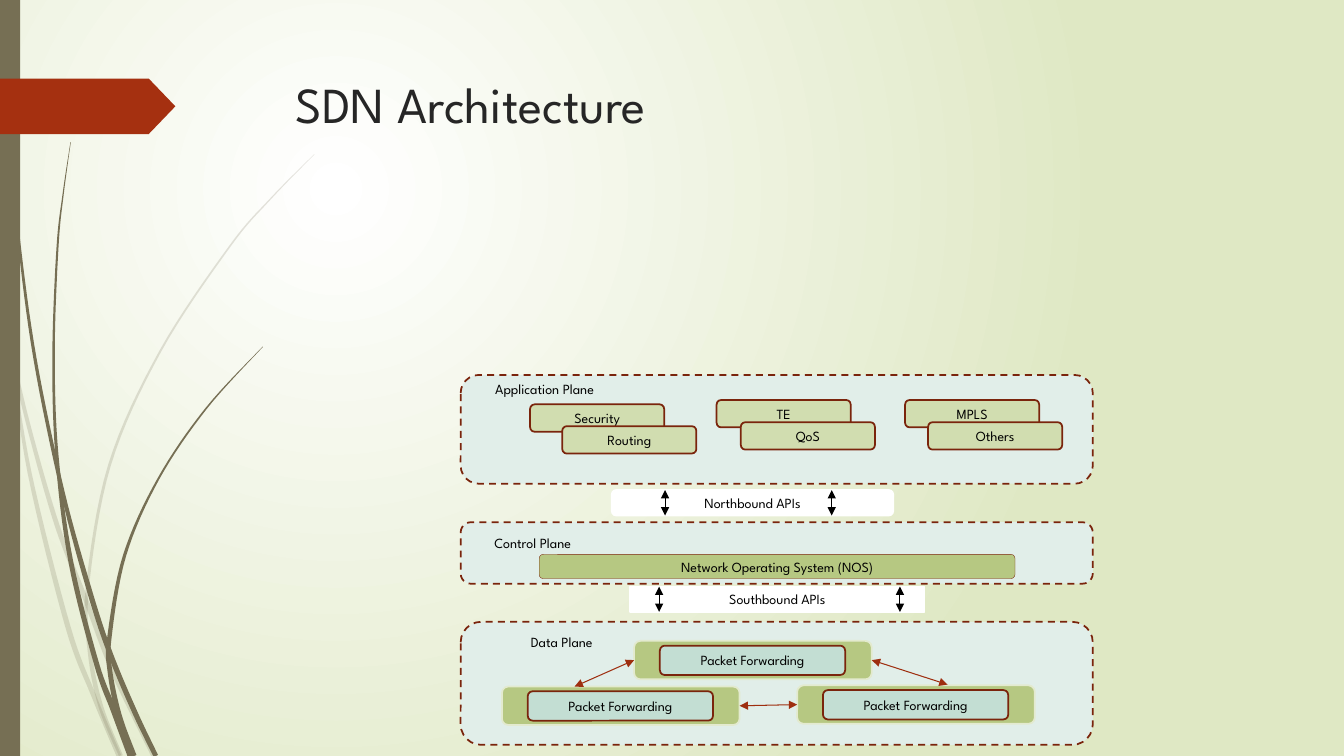
import math
import pptx
import pptx.util
import pptx.dml.color
import pptx.enum.dml
import pptx.enum.shapes
import pptx.enum.text
import pptx.oxml.ns
import pptx.oxml.xmlchemy

Cm, Pt = pptx.util.Cm, pptx.util.Pt
RGB = pptx.dml.color.RGBColor
KIND = pptx.enum.shapes.MSO_SHAPE
ALIGN = pptx.enum.text.PP_ALIGN
ANCHOR = pptx.enum.text.MSO_ANCHOR
qn = pptx.oxml.ns.qn

WHITE, BLACK = RGB(0xFF, 0xFF, 0xFF), RGB(0, 0, 0)
PALE = RGB(0xDF, 0xE8, 0xC4)
EARTH = RGB(0x76, 0x6F, 0x54)
RUST = RGB(0xA5, 0x30, 0x10)
INK = RGB(0x26, 0x26, 0x26)
MIST = RGB(0xE1, 0xEE, 0xE9)
MAROON = RGB(0x7A, 0x24, 0x0C)
OLIVE = RGB(0xB6, 0xC8, 0x82)
CREAM = RGB(0xE3, 0xEA, 0xCF)
MINT = RGB(0xC3, 0xDE, 0xD3)
LEAF = RGB(0xD1, 0xDD, 0xB0)
ARROW = RGB(0x9E, 0x2E, 0x0F)
FONT = "League Spartan"

# Content: all lengths in centimetres
TITLE = "SDN Architecture"
LEFT, WIDE = 11.61, 15.93
# plane: label, label box, top, height
DATA = ("Data Plane", (12.01, 15.82, 4.29, 0.71), 15.67, 3.1)
CONTROL = ("Control Plane", (11.89, 13.28, 3.07, 0.81), 13.16, 1.55)
APPS = ("Application Plane", (11.91, 9.52, 3.63, 0.58), 9.45, 2.74)
NODE = "Packet Forwarding"
NODES = [(15.98, 16.15), (12.65, 17.3), (20.09, 17.27)]
SYSTEM = ("Network Operating System (NOS)", (13.59, 13.97, 11.99, 0.61))
# interface: label, outline, left, top, width, arrow places
LINKS = [
    ("Southbound APIs", KIND.RECTANGLE, 15.88, 14.78, 7.42, (16.61, 22.68)),
    ("Northbound APIs", KIND.ROUNDED_RECTANGLE, 15.42, 12.35, 7.09,
     (16.76, 20.96)),
]
TOOLS = [
    ("Security", 13.36, 10.19), ("Routing", 14.17, 10.74),
    ("TE", 18.06, 10.08), ("QoS", 18.67, 10.64),
    ("MPLS", 22.81, 10.08), ("Others", 23.39, 10.64),
]
# Grass blades: x, y and thickness along each stem
FAINT = [
    [(0, 7.37, .1), (.27, 8.8, .1), (.74, 10.8, .1), (1.44, 13.24, .12),
     (2.16, 15.11, .12), (2.84, 16.9, .12), (3.88, 19.05, .13)],
    [(.28, 8.89, .05), (.75, 11.93, .1), (1.7, 15.75, .13),
     (2.35, 17.5, .12), (3, 19.05, .12)],
    [(7.92, 3.89, .01), (6.81, 5.02, .03), (5.79, 6.21, .04),
     (4.04, 8.85, .05), (2.76, 11.72, .07), (2.2, 14.83, .08),
     (2.26, 16.41, .1), (2.54, 17.8, .12), (3.05, 19.05, .1)],
]
SOLID = [
    [(.09, 0, .02), (.19, 2.79, .03), (.46, 5.89, .06), (.88, 9.02, .08),
     (1.58, 12.4, .1), (2.29, 15, .13), (2.79, 16.5, .13),
     (3.4, 17.95, .13), (3.93, 19.05, .12)],
    [(1.78, 3.58, .01), (1.59, 4.9, .03), (1.45, 6.22, .05),
     (1.35, 8.86, .06), (1.43, 11.43, .08), (1.78, 14.13, .12),
     (2.43, 16.72, .13), (2.87, 17.91, .15), (3.28, 19.05, .13)],
    [(6.62, 8.74, .01), (5.19, 10.3, .04), (3.99, 12.07, .05),
     (3.14, 14, .08), (2.76, 16.05, .11), (2.77, 16.9, .12),
     (3, 18.03, .14), (3.38, 19.05, .13)],
]

deck = pptx.Presentation()
deck.slide_width, deck.slide_height = Cm(33.87), Cm(19.05)
slide = deck.slides.add_slide(deck.slide_layouts[6])
shapes = slide.shapes


def make(tag, **attrs):
    node = pptx.oxml.xmlchemy.OxmlElement(tag)
    for name, val in attrs.items():
        node.set(name, str(val))
    return node


def paint(shape, fill, line=None, width=1.25):
    shape.shadow.inherit = False
    shape.fill.solid()
    shape.fill.fore_color.rgb = fill
    if line is None:
        shape.line.fill.background()
    else:
        shape.line.color.rgb = line
        shape.line.width = Pt(width)


def write(frame, text, size, color):
    run = frame.paragraphs[0].add_run()
    run.text = text
    run.font.name, run.font.size = FONT, Pt(size)
    run.font.color.rgb = color


def box(place, fill, line=None, text="", width=1.25,
        kind=KIND.ROUNDED_RECTANGLE):
    shape = shapes.add_shape(kind, *map(Cm, place))
    paint(shape, fill, line, width)
    if text:
        frame = shape.text_frame
        frame.word_wrap = True
        frame.margin_top = frame.margin_bottom = 0
        frame.vertical_anchor = ANCHOR.MIDDLE
        frame.paragraphs[0].alignment = ALIGN.CENTER
        write(frame, text, 10, BLACK)
    return shape


def arrow(start, end, color):
    line = shapes.add_connector(pptx.enum.shapes.MSO_CONNECTOR.STRAIGHT,
                                *map(Cm, start + end))
    line.line.color.rgb = color
    line.line.width = Pt(0.75)
    props = line.element.spPr
    for tag in ("a:headEnd", "a:tailEnd"):
        props.find(qn("a:ln")).append(make(tag, type="triangle"))
    props.append(make("a:effectLst"))
    return line


def smooth(stem, steps=8):
    ends = [stem[0]] + stem + [stem[-1]]
    for a, b, c, d in zip(ends, ends[1:], ends[2:], ends[3:]):
        for i in range(steps):
            t = i / steps
            yield tuple(
                q + t * (r - p) / 2 + t * t * (p - 2.5 * q + 2 * r - s / 2)
                + t ** 3 * (1.5 * (q - r) + (s - p) / 2)
                for p, q, r, s in zip(a, b, c, d))
    yield stem[-1]


def blade(stem, alpha=None):
    mid = list(smooth(stem))
    near, far = [], []
    for i, (x, y, thick) in enumerate(mid):
        a, b = mid[max(i - 1, 0)], mid[min(i + 1, len(mid) - 1)]
        dx, dy = b[0] - a[0], b[1] - a[1]
        half = thick / 2 / math.hypot(dx, dy)
        near.append((Cm(x - dy * half), Cm(y + dx * half)))
        far.append((Cm(x + dy * half), Cm(y - dx * half)))
    edge = near + far[::-1]
    form = shapes.build_freeform(*edge[0])
    form.add_line_segments(edge[1:], close=True)
    shape = form.convert_to_shape()
    paint(shape, EARTH)
    if alpha:
        tone = shape.element.spPr.find(qn("a:solidFill"))[0]
        tone.append(make("a:alpha", val=alpha * 1000))


def plane(part):
    label, place, top, high = part
    panel = box((LEFT, top, WIDE, high), MIST, MAROON)
    panel.line.dash_style = pptx.enum.dml.MSO_LINE.DASH
    box(place, MIST, MIST, label)


# Background glow
fill = slide.background.fill
fill.gradient()
for spot, (stop, color) in enumerate(zip(fill.gradient_stops, (WHITE, PALE))):
    stop.color.rgb = color
    stop.position = spot
grad = slide.element.find(".//" + qn("a:gradFill"))
grad.remove(grad.find(qn("a:lin")))
glow = make("a:path", path="circle")
glow.append(make("a:fillToRect", l=50000, t=50000, r=100000, b=100000))
grad.insert(1, glow)

# Grass, side bar and tag
for stem in FAINT:
    blade(stem, 20)
for stem in SOLID:
    blade(stem)
box((0, 0, 0.51, 19.05), EARTH, kind=KIND.RECTANGLE)
tag = box((0, 1.98, 4.42, 1.4), RUST, kind=KIND.PENTAGON)
tag.adjustments[0] = 0.48

# Title
head = shapes.add_textbox(Cm(7.21), Cm(1.73), Cm(24.77), Cm(3.56))
head.text_frame.word_wrap = True
write(head.text_frame, TITLE, 36, INK)

# Data plane
plane(DATA)
nodes = []
for x, y in NODES:
    nodes.append(box((x, y, 5.99, 0.97), OLIVE, CREAM))
    box((x + 0.65, y + 0.12, 4.67, 0.74), MINT, MAROON, NODE)
top, west, east = nodes
arrow((14.48, 17.3), (15.98, 16.64), ARROW).end_connect(top, 1)
arrow((21.97, 16.64), (23.88, 17.25), ARROW).begin_connect(top, 3)
span = arrow((18.64, 17.79), (20.09, 17.76), ARROW)
span.begin_connect(west, 3)
span.end_connect(east, 1)

# Control plane
plane(CONTROL)
box(SYSTEM[1], OLIVE, MAROON, SYSTEM[0], 0.25)

# Interfaces between planes
for label, kind, x, y, wide, spots in LINKS:
    box((x, y, wide, 0.64), WHITE, WHITE, label, kind=kind)
    for spot in spots:
        arrow((spot, y), (spot, y + 0.64), BLACK)

# Application plane
plane(APPS)
for label, x, y in TOOLS:
    box((x, y, 3.38, 0.69), LEAF, MAROON, label)

deck.save("out.pptx")
